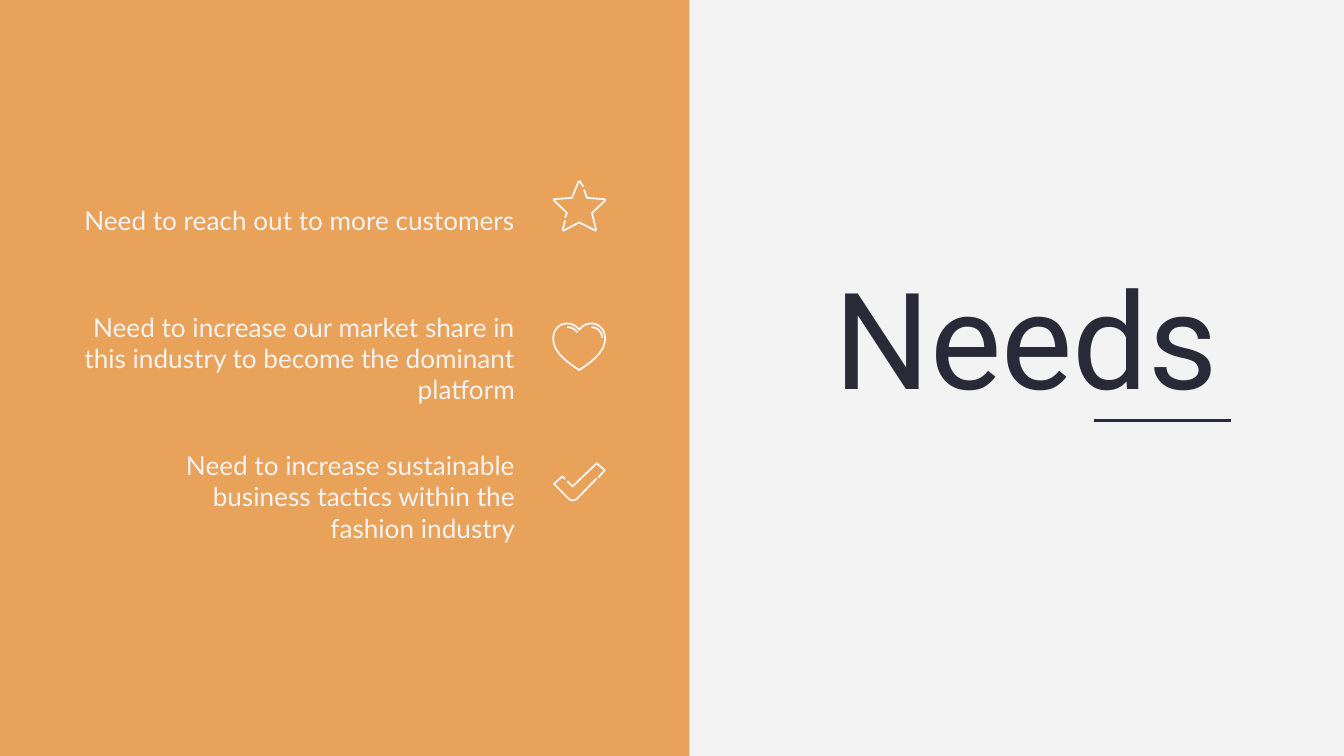
"""Build the Needs slide on a grid of tenth-inch cells."""
import pptx
import pptx.dml.color
import pptx.enum.shapes
import pptx.enum.text
import pptx.util
from lxml import etree

RGB = pptx.dml.color.RGBColor
PALE = RGB(0xF3, 0xF3, 0xF3)
GOLD = RGB(0xE9, 0xA2, 0x59)
DARK = RGB(0x29, 0x29, 0x38)
ANCHOR = pptx.enum.text.MSO_ANCHOR
WIDE, HIGH = 100, 56.25
ROW = 10.3
EDGE = 39.3

NEEDS = [
    ("Need to reach out to more customers", 34.3),
    ("Need to increase our market share in this industry to become the dominant platform", 34.3),
    ("Need to increase sustainable business tactics within the fashion industry", 31.1),
]
STAR = [
    [(0.95, 2.8), (1.08, 2.45), (0.1, 1.5), (0.12, 1.43), (1.45, 1.33),
     (1.95, 0.1), (2.05, 0.1), (2.3, 0.5)],
    [(2.35, 0.7), (2.58, 1.33), (3.9, 1.43), (3.93, 1.52), (2.95, 2.45), (3.25, 3.7),
     (3.2, 3.76), (2, 3.15), (0.83, 3.76), (0.77, 3.7), (0.95, 3)],
]
CHECK = [
    [(0.95, 1.25), (0.75, 1.05), (0.12, 1.6), (1.25, 2.75), (1.5, 2.85),
     (1.8, 2.75), (3.3, 1.2)],
    [(1.1, 1.4), (1.5, 1.8), (3.3, 0.07), (3.9, 0.6), (3.4, 1.15)],
]


def cell(count):
    """Turn grid cells into a length."""
    return pptx.util.Inches(count / 10)


def curve(*knots, steps=12):
    """Sample a cubic curve with four control points."""
    points = []
    for step in range(steps + 1):
        t = step / steps
        parts = ((1 - t) ** 3, 3 * t * (1 - t) ** 2, 3 * t * t * (1 - t), t ** 3)
        points.append(tuple(sum(p * k[axis] for p, k in zip(parts, knots)) for axis in (0, 1)))
    return points


def heart():
    """Return the strokes of a heart, its left half mirrored from the right."""
    half = (curve((2, 0.55), (2.2, 0.25), (2.55, 0.07), (2.9, 0.07))
            + curve((2.9, 0.07), (3.5, 0.07), (3.93, 0.55), (3.93, 1.2))[1:]
            + curve((3.93, 1.2), (3.93, 2.2), (2.9, 2.95), (2, 3.53))[1:])
    twin = [(4 - x, y) for x, y in reversed(half)]
    return [half + twin[1:],
            curve((2.9, 0.35), (3.35, 0.35), (3.7, 0.7), (3.7, 1.15)),
            curve((1.1, 0.35), (1.45, 0.35), (1.7, 0.5), (1.85, 0.75))]


def icon(slide, left, top, strokes):
    """Draw an icon from open strokes."""
    for stroke in strokes:
        points = [(cell(left + x), cell(top + y)) for x, y in stroke]
        pen = slide.shapes.build_freeform(*points[0])
        pen.add_line_segments(points[1:], close=False)
        shape = pen.convert_to_shape()
        shape.shadow.inherit = False
        shape.fill.background()
        shape.line.color.rgb = PALE
        shape.line.width = pptx.util.Pt(1)


def panel(slide, width):
    """Fill the left part of the slide."""
    shape = slide.shapes.add_shape(
        pptx.enum.shapes.MSO_SHAPE.RECTANGLE, 0, 0, cell(width), cell(HIGH))
    shape.shadow.inherit = False
    shape.fill.solid()
    shape.fill.fore_color.rgb = GOLD
    shape.line.fill.background()


def rule(slide, left, right, top):
    """Draw the level line under the title."""
    line = slide.shapes.add_connector(
        pptx.enum.shapes.MSO_CONNECTOR.STRAIGHT, cell(left), cell(top), cell(right), cell(top))
    line.line.color.rgb = DARK
    line.line.width = pptx.util.Pt(1.5)
    etree.SubElement(line.element.spPr, pptx.oxml.ns.qn("a:effectLst"))


def label(slide, box, text, font, size, color, anchor, inset=1, after=0):
    """Add a right-aligned text box."""
    frame = slide.shapes.add_textbox(*map(cell, box)).text_frame
    frame.word_wrap = True
    frame.vertical_anchor = anchor
    frame.margin_left = frame.margin_right = frame.margin_bottom = cell(1)
    frame.margin_top = cell(inset)
    para = frame.paragraphs[0]
    para.text = text
    para.alignment = pptx.enum.text.PP_ALIGN.RIGHT
    para.space_after = pptx.util.Pt(after)
    para.font.name = font
    para.font.size = pptx.util.Pt(size)
    para.font.color.rgb = color


def main():
    """Build and save the slide."""
    deck = pptx.Presentation()
    deck.slide_width, deck.slide_height = cell(WIDE), cell(HIGH)
    slide = deck.slides.add_slide(deck.slide_layouts[6])
    slide.background.fill.solid()
    slide.background.fill.fore_color.rgb = PALE
    rule(slide, 81.4, 91.6, 31.3)
    panel(slide, 51.3)
    for row, (text, width) in enumerate(NEEDS):
        box = (EDGE - width, 11 + row * ROW, width, 8.7)
        label(slide, box, text, "Lato", 14, PALE, ANCHOR.MIDDLE, inset=3, after=16)
    for top, strokes in ((13.4, STAR), (24, heart()), (34.4, CHECK)):
        icon(slide, 41.1, top, strokes)
    label(slide, (56.7, 19.2, 34.9, 12.8), "Needs", "Roboto", 72, DARK, ANCHOR.BOTTOM)
    deck.save("out.pptx")


if __name__ == "__main__":
    main()
